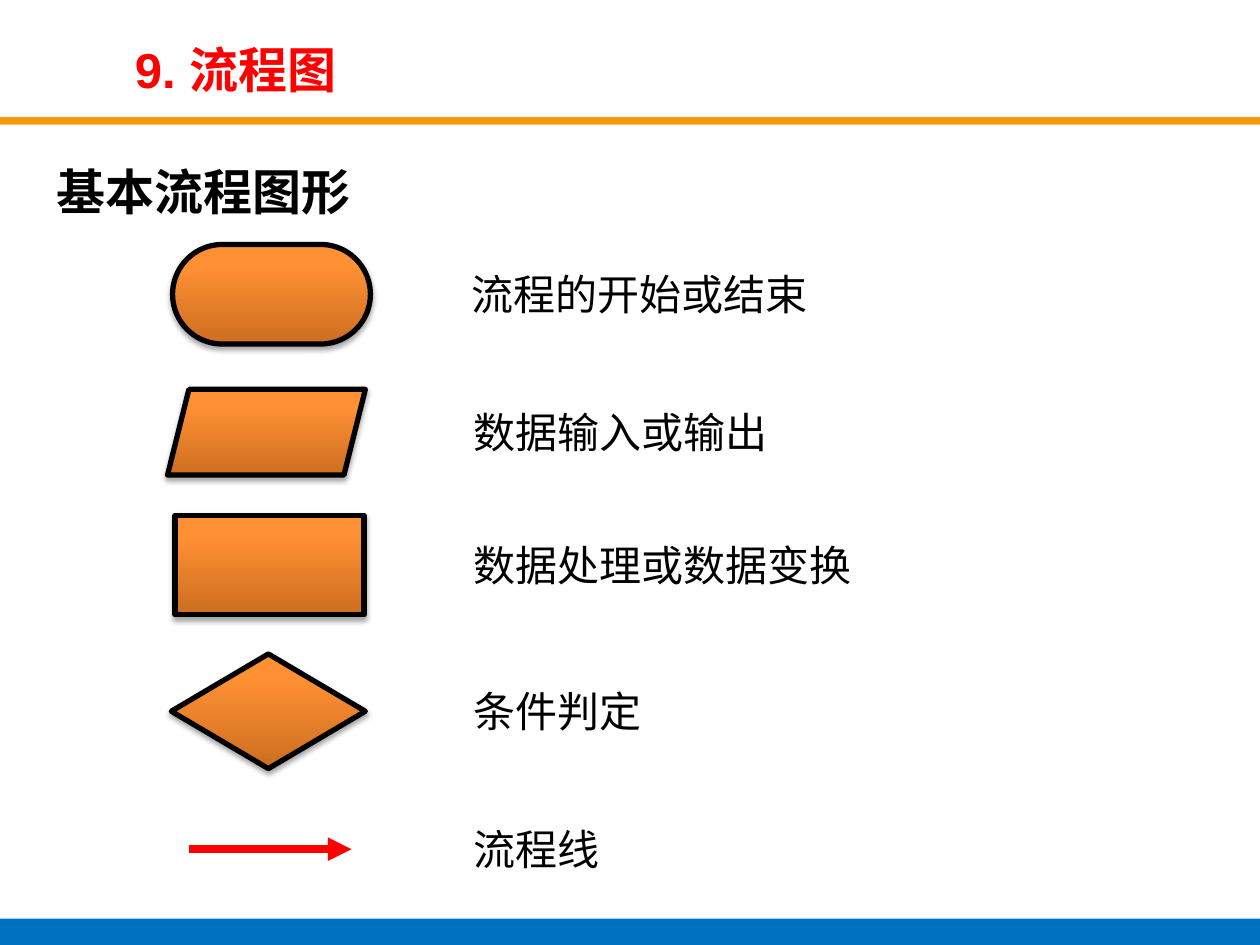
"""Build a slide that explains the basic flowchart symbols."""
from copy import deepcopy

from lxml import etree
from pptx import Presentation
from pptx import util as u
from pptx.dml.color import RGBColor
from pptx.enum import shapes, text
from pptx.oxml import ns

WIDTH, HEIGHT = u.Inches(10), u.Inches(7.5)
COLUMNS, ROWS = 100, 75
FONT = "Arial"
BLACK = RGBColor(0x00, 0x00, 0x00)
RED = RGBColor(0xFF, 0x00, 0x00)
AMBER = RGBColor(0xF7, 0x99, 0x0A)
BLUE = RGBColor(0x00, 0x70, 0xC0)
GRADIENT = [
    (0, RGBColor(0xCC, 0x6E, 0x20)),
    (0.8, RGBColor(0xFF, 0x90, 0x34)),
    (1, RGBColor(0xFF, 0x91, 0x36)),
]
SHAPE = shapes.MSO_SHAPE
SYMBOLS = [
    (SHAPE.ROUNDED_RECTANGLE, (13.7, 19.4, 15.7, 7.9)),
    (SHAPE.PARALLELOGRAM, (13.3, 30.9, 15.7, 6.8)),
    (SHAPE.RECTANGLE, (13.9, 40.9, 15, 7.9)),
    (SHAPE.DIAMOND, (13.6, 51.9, 15.4, 9.1)),
]
LABELS = [
    ("流程的开始或结束", 36.4, 20.8),
    ("数据输入或输出", 36.6, 31.8),
    ("数据处理或数据变换", 36.6, 42.3),
    ("条件判定", 36.6, 53.9),
    ("流程线", 36.6, 64.9),
]


def grid(column, row, columns, rows):
    """Turn grid cells into left, top, width and height."""
    cell_width, cell_height = WIDTH / COLUMNS, HEIGHT / ROWS
    return (round(column * cell_width), round(row * cell_height),
            round(columns * cell_width), round(rows * cell_height))


def add_element(parent, tag, **attributes):
    """Append a DrawingML element to its parent."""
    element = etree.SubElement(parent, ns.qn(tag))
    for name, value in attributes.items():
        element.set(name, str(value))
    return element


def write(shape, words, size, color, bold=False):
    """Put one formatted paragraph into a shape."""
    shape.text_frame.word_wrap = True
    paragraph = shape.text_frame.paragraphs[0]
    paragraph.text = words
    paragraph.alignment = text.PP_ALIGN.LEFT
    font = paragraph.font
    font.name, font.size, font.bold = FONT, u.Pt(size), bold
    font.color.rgb = color
    return paragraph


def add_title(slide, words):
    """Place and fill the title placeholder."""
    title = slide.shapes.title
    title.left, title.top, title.width, title.height = grid(9.7, 2.7, 68.6, 5.5)
    title.text_frame.vertical_anchor = text.MSO_ANCHOR.MIDDLE
    write(title, words, 28, RED, bold=True)


def add_text(slide, words, cells, size, bold=False):
    """Add a text box and return its paragraph."""
    return write(slide.shapes.add_textbox(*grid(*cells)), words, size, BLACK, bold)


def add_bar(slide, row, rows, color):
    """Add a plain bar across the slide."""
    bar = slide.shapes.add_shape(SHAPE.RECTANGLE, *grid(0, row, COLUMNS, rows))
    bar.shadow.inherit = False
    bar.fill.solid()
    bar.fill.fore_color.rgb = color
    bar.line.fill.background()


def add_shadow(shape):
    """Give a shape a soft shadow below it."""
    shape.shadow.inherit = False
    effects = shape._element.spPr.find(ns.qn("a:effectLst"))
    shadow = add_element(effects, "a:outerShdw", blurRad=u.Pt(3.1), dist=u.Pt(1.8),
                         dir=5400000, rotWithShape=0)
    color = add_element(shadow, "a:srgbClr", val=BLACK)
    add_element(color, "a:alpha", val=35000)


def add_symbol(slide, kind, cells):
    """Add one flowchart symbol with a gradient fill."""
    symbol = slide.shapes.add_shape(kind, *grid(*cells))
    if kind == SHAPE.ROUNDED_RECTANGLE:
        symbol.adjustments[0] = 0.5
    symbol.fill.gradient()
    symbol.fill.gradient_angle = 90
    stops = symbol._element.spPr.find(ns.qn("a:gradFill")).find(ns.qn("a:gsLst"))
    stops.append(deepcopy(stops[0]))
    for stop, (position, color) in zip(symbol.fill.gradient_stops, GRADIENT):
        stop.position, stop.color.rgb = position, color
    symbol.line.color.rgb = BLACK
    symbol.line.width = u.Pt(3)
    add_shadow(symbol)


def add_arrow(slide, column, row, columns):
    """Add a horizontal flow line that points right."""
    left, top, width, _ = grid(column, row, columns, 0)
    arrow = slide.shapes.add_connector(
        shapes.MSO_CONNECTOR.STRAIGHT, left, top, left + width, top)
    arrow.line.color.rgb = RED
    arrow.line.width = u.Pt(4.5)
    add_element(arrow.line._get_or_add_ln(), "a:tailEnd", type="triangle")
    add_element(arrow._element.spPr, "a:effectLst")


def main():
    """Build and save the slide."""
    presentation = Presentation()
    presentation.slide_width, presentation.slide_height = WIDTH, HEIGHT
    slide = presentation.slides.add_slide(presentation.slide_layouts[5])
    add_bar(slide, 9.3, 0.6, AMBER)
    add_bar(slide, 72.9, 2.1, BLUE)
    heading = add_text(slide, "基本流程图形", (3.5, 11.4, 92.9, 59.9), 28, bold=True)
    heading.alignment = text.PP_ALIGN.JUSTIFY
    heading.line_spacing = 1.2
    heading.space_before = u.Pt(5.6)
    add_title(slide, "9. 流程图")
    for kind, cells in SYMBOLS:
        add_symbol(slide, kind, cells)
    add_arrow(slide, 15, 67.4, 12.9)
    for words, column, row in LABELS:
        add_text(slide, words, (column, row, 46.5, 5), 24)
    presentation.save("out.pptx")


if __name__ == "__main__":
    main()
